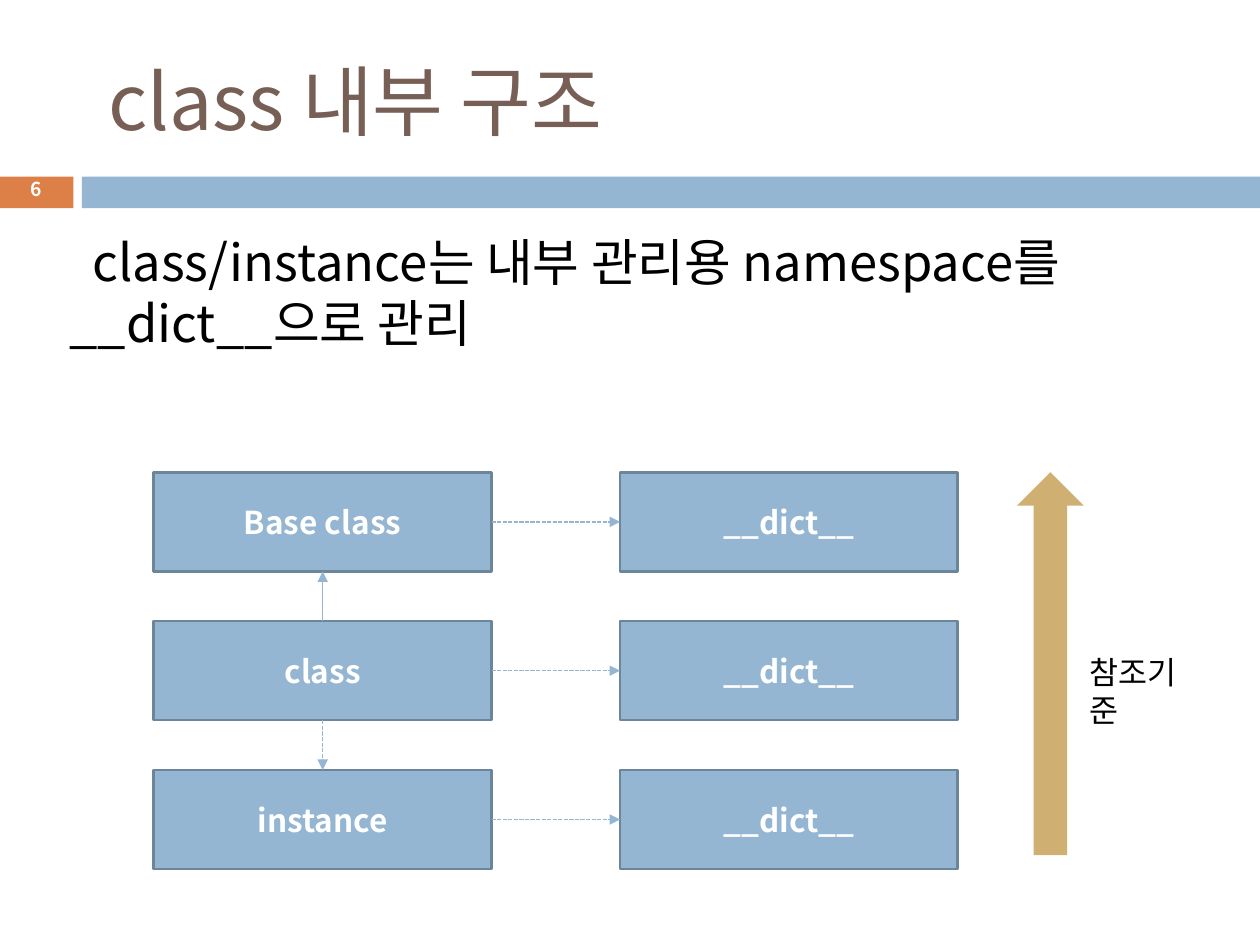
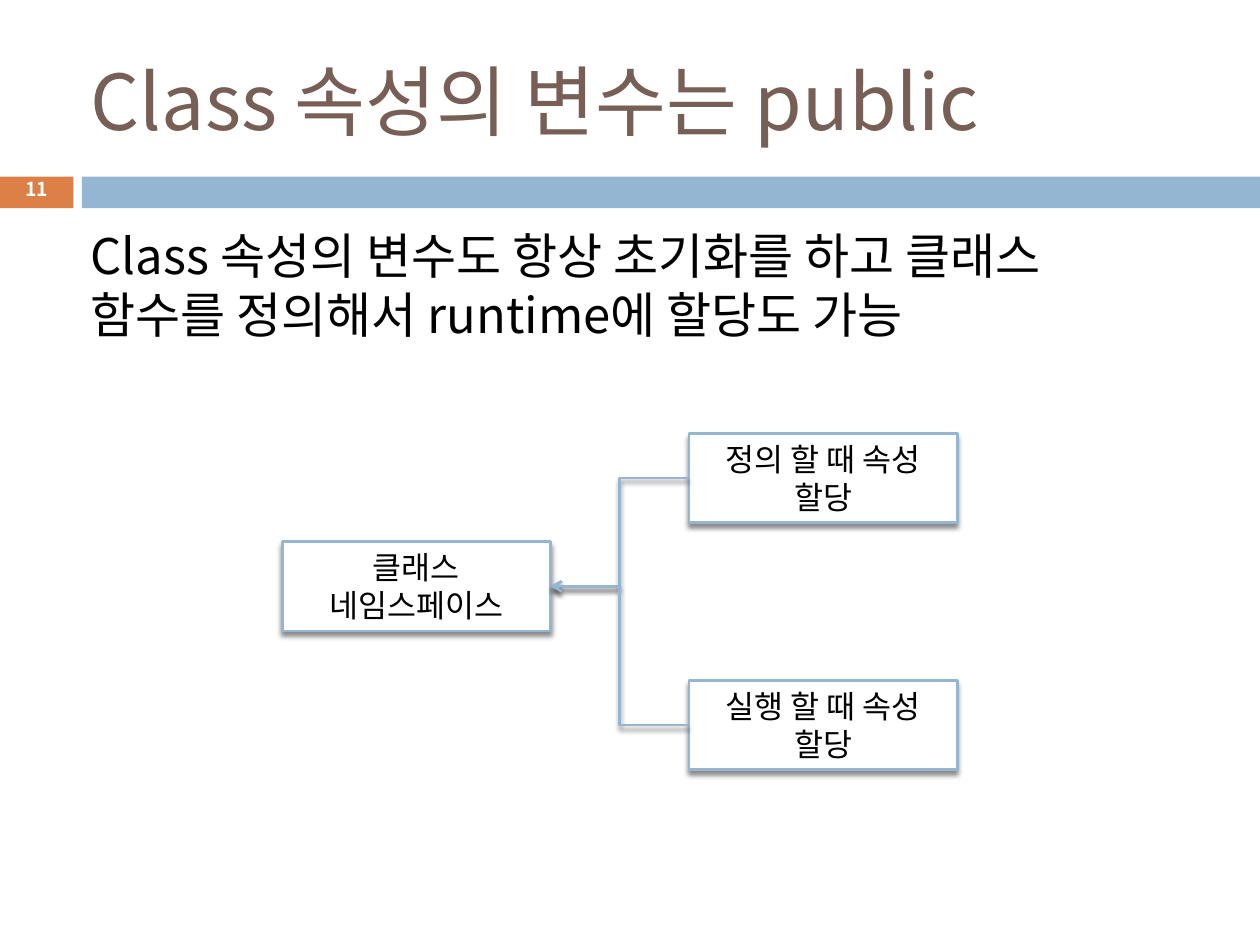
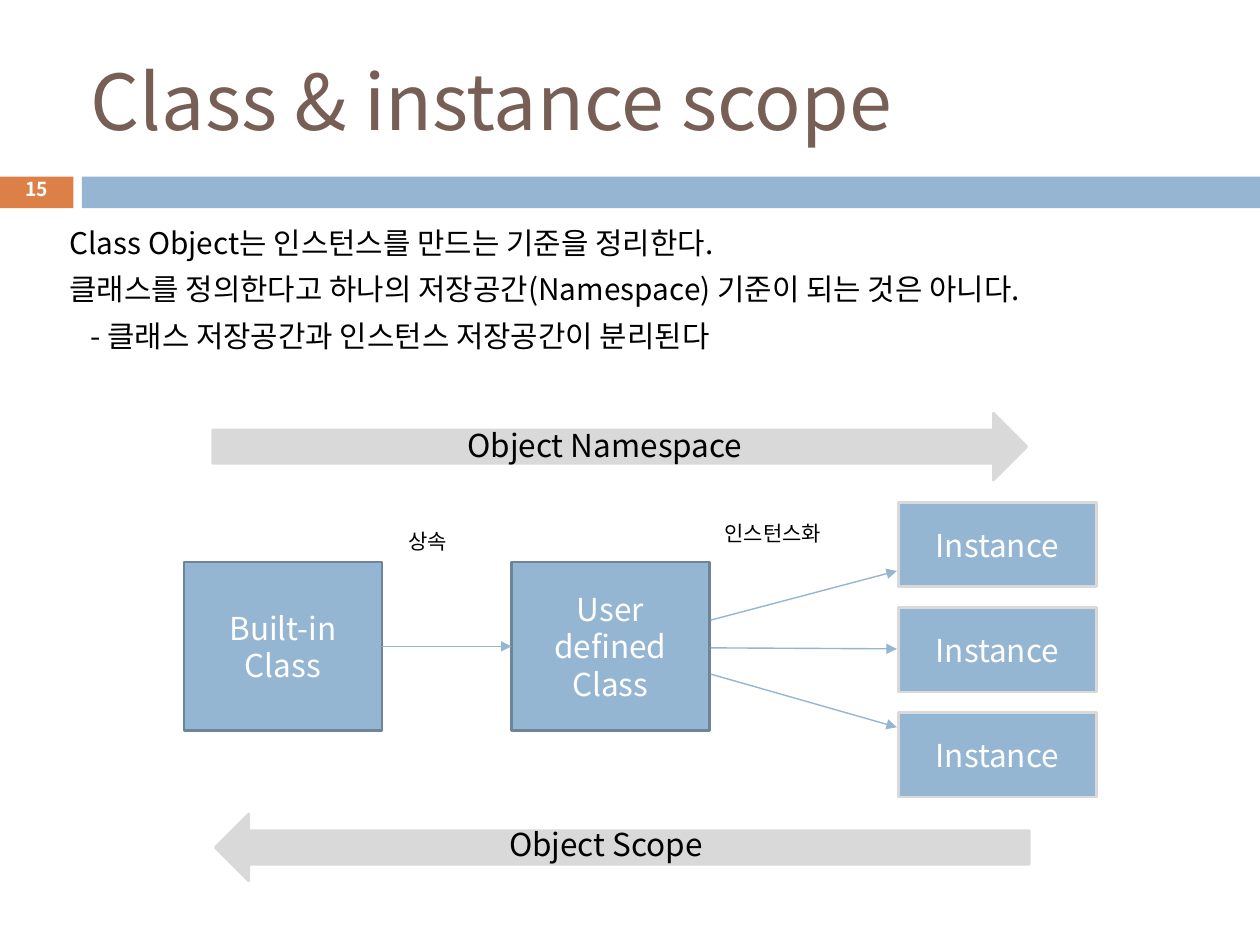
"""Build three slides on Python class structure, attributes and scope."""
from lxml import etree
from pptx import Presentation
from pptx.dml.color import RGBColor
from pptx.enum import dml, shapes, text
from pptx.oxml import parse_xml
from pptx.oxml.ns import nsdecls, qn
from pptx.util import Cm, Pt

FONT = "Noto Sans CJK KR"
WHITE = RGBColor(0xFF, 0xFF, 0xFF)
BLACK = RGBColor(0x00, 0x00, 0x00)
BROWN = RGBColor(0x77, 0x5F, 0x55)
ORANGE = RGBColor(0xDD, 0x80, 0x47)
BLUE = RGBColor(0x94, 0xB6, 0xD2)
SLATE = RGBColor(0x6C, 0x85, 0x99)
SAND = RGBColor(0xD0, 0xAF, 0x72)
GREY = RGBColor(0xD9, 0xD9, 0xD9)
SHAPE = shapes.MSO_SHAPE
LINE = shapes.MSO_CONNECTOR
LEFT, CENTER = text.PP_ALIGN.LEFT, text.PP_ALIGN.CENTER
TOP, MIDDLE = text.MSO_ANCHOR.TOP, text.MSO_ANCHOR.MIDDLE
SHADOW = (
    f'<a:outerShdw {nsdecls("a")} blurRad="38100" dist="30480" dir="5400000" rotWithShape="0">'
    '<a:srgbClr val="000000"><a:alpha val="45000"/></a:srgbClr></a:outerShdw>'
)


def put(s, preset, at, lines=(), size=18, color=BLACK, bold=False,
        align=CENTER, anchor=MIDDLE, fill=None, line=None):
    """Add a preset shape, or a text box when preset is None."""
    at = [Cm(v) for v in at]
    if preset is None:
        sp = s.shapes.add_textbox(*at)
    else:
        sp = s.shapes.add_shape(preset, *at)
        sp.shadow.inherit = False
        sp.fill.solid()
        sp.fill.fore_color.rgb = fill
        if line is None:
            sp.line.fill.background()
        else:
            sp.line.color.rgb = line
            sp.line.width = Pt(1.5)
    tf = sp.text_frame
    tf.word_wrap = True
    tf.vertical_anchor = anchor
    tf.margin_left = tf.margin_right = tf.margin_top = tf.margin_bottom = Cm(0.13)
    for i, content in enumerate(lines):
        p = tf.paragraphs[0] if i == 0 else tf.add_paragraph()
        p.alignment = align
        r = p.add_run()
        r.text = content
        r.font.size = Pt(size)
        r.font.bold = bold
        r.font.color.rgb = color
    return sp


def link(s, start, end, kind=LINE.STRAIGHT, width=0.79, head="triangle", dashed=False):
    """Add an arrow between two (shape, site) pairs or two (x, y) points."""
    cx = s.shapes.add_connector(kind, 0, 0, 0, 0)
    if isinstance(start[0], (int, float)):
        cx.begin_x, cx.begin_y = Cm(start[0]), Cm(start[1])
        cx.end_x, cx.end_y = Cm(end[0]), Cm(end[1])
    else:
        cx.begin_connect(*start)
        cx.end_connect(*end)
    cx.line.color.rgb = BLUE
    cx.line.width = Pt(width)
    if dashed:
        cx.line.dash_style = dml.MSO_LINE.SQUARE_DOT
    spPr = cx.element.spPr
    etree.SubElement(spPr.find(qn("a:ln")), qn("a:tailEnd"), type=head)
    etree.SubElement(spPr, qn("a:effectLst"))
    return cx


prs = Presentation()
prs.slide_width, prs.slide_height = Cm(25.4), Cm(19.05)

for title, number in (
    (" class 내부 구조", "6"),
    ("Class 속성의 변수는 public", "11"),
    ("Class & instance scope", "15"),
):
    s = prs.slides.add_slide(prs.slide_layouts[5])
    sp = s.shapes.title
    sp.left, sp.top, sp.width, sp.height = Cm(1.7), Cm(0.64), Cm(22.66), Cm(2.74)
    tf = sp.text_frame
    tf.auto_size = text.MSO_AUTO_SIZE.NONE
    tf.vertical_anchor = MIDDLE
    tf.margin_left = tf.margin_right = tf.margin_top = tf.margin_bottom = Cm(0.13)
    p = tf.paragraphs[0]
    p.alignment = LEFT
    r = p.add_run()
    r.text = title
    r.font.size = Pt(44)
    r.font.color.rgb = BROWN
    put(s, SHAPE.RECTANGLE, (0, 3.56, 1.48, 0.64), fill=ORANGE)
    put(s, SHAPE.RECTANGLE, (1.65, 3.56, 23.75, 0.64), fill=BLUE)
    sp = put(s, None, (0, 3.48, 1.48, 0.76), [number], 11, WHITE, True)
    sp.text_frame.paragraphs[0].line_spacing = 0.8

structure, attributes, scope = prs.slides

s = structure
sp = put(s, None, (1.27, 4.52, 22.86, 3.3),
         ["class/instance는 내부 관리용 namespace를 __dict__으로 관리"],
         29, align=LEFT, anchor=TOP)
p = sp.text_frame.paragraphs[0]
p.space_before = Pt(7)
p._p.get_or_add_pPr().set("indent", str(Cm(0.46)))
owners = []
for i, name in enumerate(("Base class", "class", "instance")):
    owner, names = [
        put(s, SHAPE.RECTANGLE, (x, 9.52 + 3 * i, 6.81, 2), [label],
            color=WHITE, bold=True, fill=BLUE, line=SLATE)
        for x, label in ((3.1, name), (12.5, "__dict__"))
    ]
    link(s, (owner, 3), (names, 1), dashed=True)
    owners.append(owner)
base, cls, instance = owners
link(s, (cls, 0), (base, 2))
link(s, (cls, 2), (instance, 0), dashed=True)
put(s, SHAPE.UP_ARROW, (20.5, 9.52, 1.35, 7.72), fill=SAND)
put(s, None, (21.84, 13.03, 2.39, 1.8), ["참조기준"], align=LEFT, anchor=TOP)

s = attributes
put(s, None, (1.7, 4.42, 22.2, 2.64),
    ["Class 속성의 변수도 항상 초기화를 하고 클래스 함수를 정의해서 runtime에 할당도 가능"],
    28, align=LEFT, anchor=TOP)
namespace, defined, executed = [
    put(s, SHAPE.RECTANGLE, (x, y, 5.41, 1.8), [label], fill=WHITE, line=BLUE)
    for x, y, label in (
        (5.69, 10.92, "클래스 네임스페이스"),
        (13.89, 8.74, "정의 할 때 속성 할당"),
        (13.89, 13.72, "실행 할 때 속성 할당"),
    )
]
links = [link(s, (source, 1), (namespace, 3), LINE.ELBOW, 1.5, "arrow")
         for source in (defined, executed)]
for sp in (namespace, defined, executed, *links):
    sp.element.spPr.find(qn("a:effectLst")).append(parse_xml(SHADOW))

s = scope
sp = put(s, None, (1.27, 4.44, 22.86, 3.48), [
    "Class Object는 인스턴스를 만드는 기준을 정리한다.",
    "클래스를 정의한다고 하나의 저장공간(Namespace) 기준이 되는 것은 아니다.",
    "- 클래스 저장공간과 인스턴스 저장공간이 분리된다",
], 17, align=LEFT, anchor=TOP)
for p in sp.text_frame.paragraphs:
    p.line_spacing = 0.96
    p.space_before = Pt(7)
p._p.get_or_add_pPr().set("indent", str(Cm(0.42)))
builtin, user = [
    put(s, SHAPE.RECTANGLE, (x, 11.33, 3.99, 3.4), [label, "Class"],
        color=WHITE, fill=BLUE, line=SLATE)
    for x, label in ((3.71, "Built-in"), (10.31, "User defined"))
]
link(s, (builtin, 3), (user, 1))
for i, (start_y, end_y) in enumerate(((12.5, 11.51), (13.06, 13.08), (13.59, 14.66))):
    put(s, SHAPE.RECTANGLE, (18.11, 10.13 + 2.12 * i, 3.99, 1.7), ["Instance"],
        color=WHITE, fill=BLUE, line=GREY)
    link(s, (14.33, start_y), (18.08, end_y))
put(s, None, (8.1, 10.52, 2.21, 0.79), ["상속"], 12, align=LEFT, anchor=TOP)
put(s, None, (14.48, 10.36, 3.02, 0.79), ["인스턴스화"], 12, align=LEFT, anchor=TOP)
put(s, SHAPE.RIGHT_ARROW, (4.29, 8.33, 16.41, 1.35), fill=GREY, line=GREY)
put(s, SHAPE.LEFT_ARROW, (4.34, 16.41, 16.41, 1.35), fill=GREY, line=GREY)
put(s, None, (7.7, 8.46, 8.99, 1.02), ["Object Namespace"], anchor=TOP)
put(s, None, (9.42, 16.51, 5.59, 1.02), ["Object Scope"], anchor=TOP)

for s in prs.slides:
    for rPr in s.element.iter(qn("a:rPr")):
        for tag in ("a:latin", "a:ea"):
            etree.SubElement(rPr, qn(tag), typeface=FONT)

prs.save("out.pptx")
